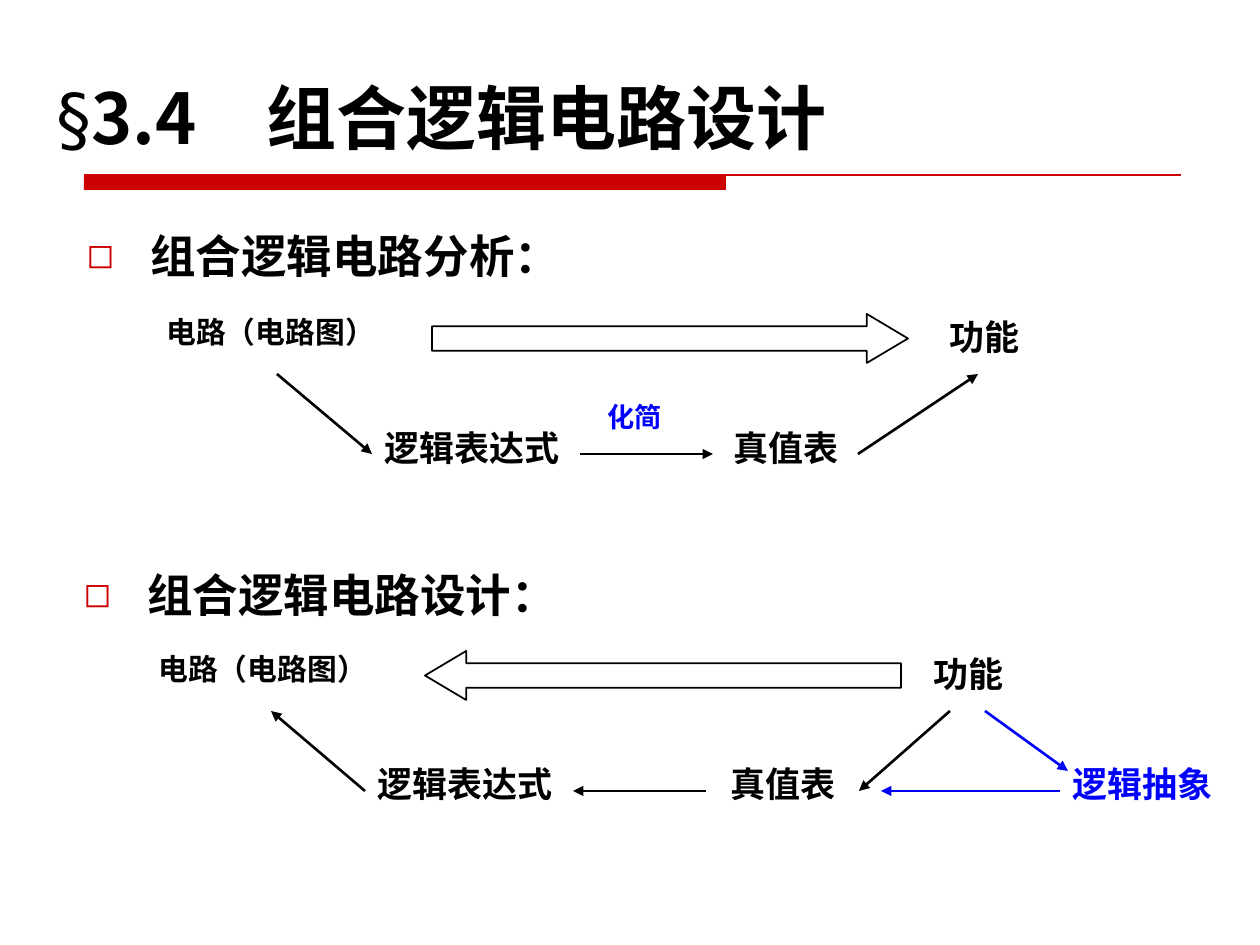
from dataclasses import dataclass

import pptx
import pptx.dml.color
import pptx.enum.shapes
import pptx.enum.text
import pptx.oxml.ns
import pptx.util
from lxml import etree

PX = 914400 / 126
COLORS = {"black": "000000", "red": "CC0000", "blue": "0000FF"}
LATIN_FONT = "Times New Roman"
CHINESE_FONT = "Noto Sans CJK SC"
TITLE_FONT = "DejaVu Sans"
ALIGN = pptx.enum.text.PP_ALIGN
SHAPES = pptx.enum.shapes.MSO_SHAPE


@dataclass(frozen=True)
class Label:
    text: str
    left: int
    top: int
    width: int
    height: int = 59
    size: float = 20
    spacing: float = 0.9
    color: str = "black"
    align: ALIGN = ALIGN.LEFT
    bullet: bool = False


@dataclass(frozen=True)
class Arrow:
    start: tuple[int, int]
    end: tuple[int, int]
    color: str = "black"


@dataclass(frozen=True)
class BlockArrow:
    left: int
    top: int
    rotation: int = 0


HEADING = {"width": 624, "size": 26, "spacing": 0.8, "bullet": True}
CIRCUIT = {"width": 248, "size": 17, "spacing": 0.8}

LABELS = [
    Label("组合逻辑电路分析：", 74, 232, **HEADING),
    Label("电路（电路图）", 154, 314, **CIRCUIT),
    Label("功能", 937, 314, 248),
    Label("逻辑表达式", 372, 425, 208),
    Label("真值表", 713, 425, 146, align=ALIGN.CENTER),
    Label("化简", 595, 403, 118, 38, size=15.5, spacing=0.7, color="blue"),
    Label("组合逻辑电路设计：", 71, 571, **HEADING),
    Label("电路（电路图）", 146, 651, **CIRCUIT),
    Label("功能", 921, 651, 129),
    Label("逻辑表达式", 365, 761, 208),
    Label("真值表", 706, 761, 154, align=ALIGN.CENTER),
    Label("逻辑抽象", 1060, 761, 168, color="blue"),
]
BLOCK_ARROWS = [BlockArrow(432, 314), BlockArrow(425, 651, 180)]
ARROWS = [
    Arrow((277, 374), (372, 454)),
    Arrow((580, 454), (713, 454)),
    Arrow((858, 454), (978, 374)),
    Arrow((365, 791), (271, 711)),
    Arrow((706, 791), (573, 791)),
    Arrow((950, 711), (859, 791)),
    Arrow((985, 711), (1068, 771), "blue"),
    Arrow((1060, 791), (881, 791), "blue"),
]


def px(*lengths: int) -> list[int]:
    return [round(length * PX) for length in lengths]


def rgb(color: str) -> pptx.dml.color.RGBColor:
    return pptx.dml.color.RGBColor.from_string(COLORS[color])


def add_element(parent, tag: str, **attributes: str):
    return etree.SubElement(parent, pptx.oxml.ns.qn(tag), attributes)


def add_run(paragraph, text: str, size: float, latin: str, bold: bool, color: str) -> None:
    run = paragraph.add_run()
    run.text = text
    formats = {"size": pptx.util.Pt(size), "name": latin, "bold": bold}
    for name, value in formats.items():
        setattr(run.font, name, value)
    run.font.color.rgb = rgb(color)
    add_element(run.font._element, "a:ea", typeface=CHINESE_FONT)


def add_bullet(paragraph) -> None:
    properties = paragraph._p.get_or_add_pPr()
    indent = px(64)[0]
    properties.set("marL", str(indent))
    properties.set("indent", str(-indent))
    bullet_color = add_element(properties, "a:buClr")
    add_element(bullet_color, "a:srgbClr", val=COLORS["red"])
    add_element(properties, "a:buSzPct", val="75000")
    add_element(properties, "a:buFont", typeface=TITLE_FONT)
    add_element(properties, "a:buChar", char="◻")


def add_title(slide) -> None:
    frame = slide.shapes.add_textbox(*px(44, 43, 1216, 122)).text_frame
    frame.word_wrap = True
    frame.vertical_anchor = pptx.enum.text.MSO_ANCHOR.BOTTOM
    paragraph = frame.paragraphs[0]
    add_run(paragraph, "§", 40, TITLE_FONT, False, "black")
    add_run(paragraph, "3.4　", 40, CHINESE_FONT, True, "black")
    add_run(paragraph, "组合逻辑电路设计", 40, TITLE_FONT, True, "black")


def add_label(slide, label: Label) -> None:
    box = slide.shapes.add_textbox(*px(label.left, label.top, label.width, label.height))
    box.text_frame.word_wrap = True
    paragraph = box.text_frame.paragraphs[0]
    formats = {"alignment": label.align, "line_spacing": label.spacing}
    for name, value in formats.items():
        setattr(paragraph, name, value)
    if label.bullet:
        add_bullet(paragraph)
    add_run(paragraph, label.text, label.size, LATIN_FONT, True, label.color)


def add_line(slide, arrow: Arrow, width: float):
    connector = slide.shapes.add_connector(
        pptx.enum.shapes.MSO_CONNECTOR.STRAIGHT, *px(*arrow.start, *arrow.end)
    )
    connector.line.color.rgb = rgb(arrow.color)
    connector.line.width = pptx.util.Pt(width)
    add_element(connector._element.spPr, "a:effectLst")
    return connector


def add_arrow(slide, arrow: Arrow) -> None:
    connector = add_line(slide, arrow, 1.5)
    add_element(connector.line._get_or_add_ln(), "a:tailEnd", type="triangle")


def add_block_arrow(slide, arrow: BlockArrow) -> None:
    shape = slide.shapes.add_shape(
        SHAPES.RIGHT_ARROW, *px(arrow.left, arrow.top, 476, 49)
    )
    shape.adjustments[0] = 0.5
    shape.adjustments[1] = 0.84
    shape.rotation = arrow.rotation
    shape.shadow.inherit = False
    shape.fill.background()
    shape.line.color.rgb = rgb("black")
    shape.line.width = pptx.util.Pt(1)


def add_title_rule(slide) -> None:
    bar = slide.shapes.add_shape(SHAPES.RECTANGLE, *px(84, 175, 642, 15))
    bar.shadow.inherit = False
    bar.fill.solid()
    bar.fill.fore_color.rgb = rgb("red")
    bar.line.fill.background()
    add_line(slide, Arrow((84, 175), (1181, 175), "red"), 0.75)


def main() -> None:
    presentation = pptx.Presentation()
    presentation.slide_width, presentation.slide_height = px(1260, 945)
    slide = presentation.slides.add_slide(presentation.slide_layouts[6])
    add_title_rule(slide)
    add_title(slide)
    for block_arrow in BLOCK_ARROWS:
        add_block_arrow(slide, block_arrow)
    for label in LABELS:
        add_label(slide, label)
    for arrow in ARROWS:
        add_arrow(slide, arrow)
    presentation.save("out.pptx")


if __name__ == "__main__":
    main()
